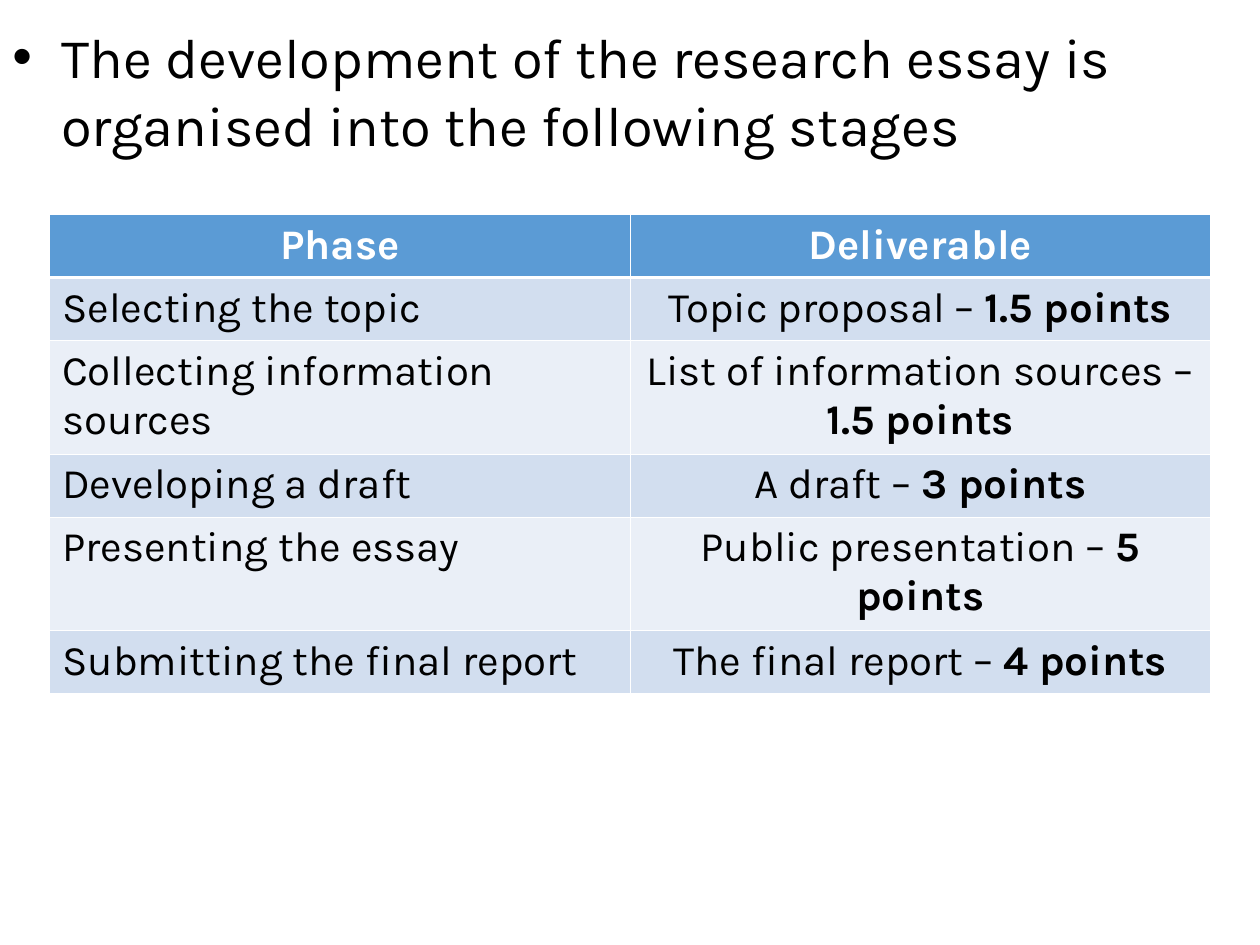
import pptx
import pptx.util
import pptx.dml.color
import pptx.enum.text
import pptx.oxml
import pptx.oxml.ns
from dataclasses import dataclass

Pt = pptx.util.Pt
ALIGN = pptx.enum.text.PP_ALIGN


@dataclass(frozen=True)
class Theme:
    font: str = "Karla"
    ink: str = "000000"
    white: str = "FFFFFF"
    head: str = "5B9BD5"
    bands: tuple = ("D2DEEF", "EAEFF7")
    lead: int = 32
    body: int = 24
    thin: float = 0.45
    thick: float = 1.47


THEME = Theme()
LEAD = "The development of the research essay is organised into the following stages"
HEADS = ("Phase", "Deliverable")
# Phase, deliverable, points, row height
STAGES = (
    ("Selecting the topic", "Topic proposal", "1.5 points", 36),
    ("Collecting information sources", "List of information sources", "1.5 points", 64.8),
    ("Developing a draft", "A draft", "3 points", 36),
    ("Presenting the essay", "Public presentation", "5 points", 64.8),
    ("Submitting the final report", "The final report", "4 points", 36),
)


def color(code):
    return pptx.dml.color.RGBColor.from_string(code)


def write(para, text, size=THEME.body, ink=THEME.ink, bold=False, align=ALIGN.LEFT):
    para.alignment = align
    run = para.add_run()
    run.text = text
    font = run.font
    font.name, font.size, font.bold = THEME.font, Pt(size), bold
    font.color.rgb = color(ink)


def add_node(parent, tag, body="", **attrs):
    names = " ".join(f'{key}="{val}"' for key, val in attrs.items())
    space = pptx.oxml.ns.nsdecls("a")
    parent.append(pptx.oxml.parse_xml(f"<a:{tag} {space} {names}>{body}</a:{tag}>"))


def paint(cell, fill, top, base):
    """Draw the cell's borders, then its fill."""
    props = cell._tc.get_or_add_tcPr()
    line = f'<a:solidFill><a:srgbClr val="{THEME.white}"/></a:solidFill>'
    for side, width in zip("LRTB", (THEME.thin, THEME.thin, top, base)):
        add_node(props, f"ln{side}", line, w=int(Pt(width)))
    cell.fill.solid()
    cell.fill.fore_color.rgb = color(fill)


def add_lead(slide, left, top, width, height):
    """Bulleted opening sentence."""
    frame = slide.shapes.add_textbox(Pt(left), Pt(top), Pt(width), Pt(height)).text_frame
    frame.word_wrap = True
    para = frame.paragraphs[0]
    props = para._p.get_or_add_pPr()
    indent = int(Pt(28))
    props.set("marL", str(indent))
    props.set("indent", str(-indent))
    add_node(props, "buClr", f'<a:srgbClr val="{THEME.ink}"/>')
    add_node(props, "buFont", typeface="Arial")
    add_node(props, "buChar", char="•")
    write(para, LEAD, size=THEME.lead)


def add_stages(slide, left, top, width, height):
    """Table of phases and what is due in each."""
    frame = slide.shapes.add_table(
        len(STAGES) + 1, len(HEADS), Pt(left), Pt(top), Pt(width), Pt(height))
    table = frame.table
    for col in table.columns:
        col.width = Pt(width / len(HEADS))

    # Header row
    table.rows[0].height = Pt(36)
    for cell, text in zip(table.rows[0].cells, HEADS):
        paint(cell, THEME.head, THEME.thin, THEME.thick)
        write(cell.text_frame.paragraphs[0], text, ink=THEME.white, bold=True,
              align=ALIGN.CENTER)

    # Stage rows in alternating bands
    for num, (phase, item, points, tall) in enumerate(STAGES):
        row = table.rows[num + 1]
        row.height = Pt(tall)
        for cell in row.cells:
            paint(cell, THEME.bands[num % 2],
                  THEME.thin if num else THEME.thick, THEME.thin)
        first, last = (cell.text_frame.paragraphs[0] for cell in row.cells)
        write(first, phase)
        write(last, f"{item} – ", align=ALIGN.CENTER)
        write(last, points, bold=True, align=ALIGN.CENTER)


def main():
    deck = pptx.Presentation()
    deck.slide_width, deck.slide_height = Pt(720), Pt(540)
    slide = deck.slides.add_slide(deck.slide_layouts[6])
    add_lead(slide, 0, 9.5, 710, 84)
    add_stages(slide, 28.35, 122.5, 663.4, 273.6)
    deck.save("out.pptx")


if __name__ == "__main__":
    main()
